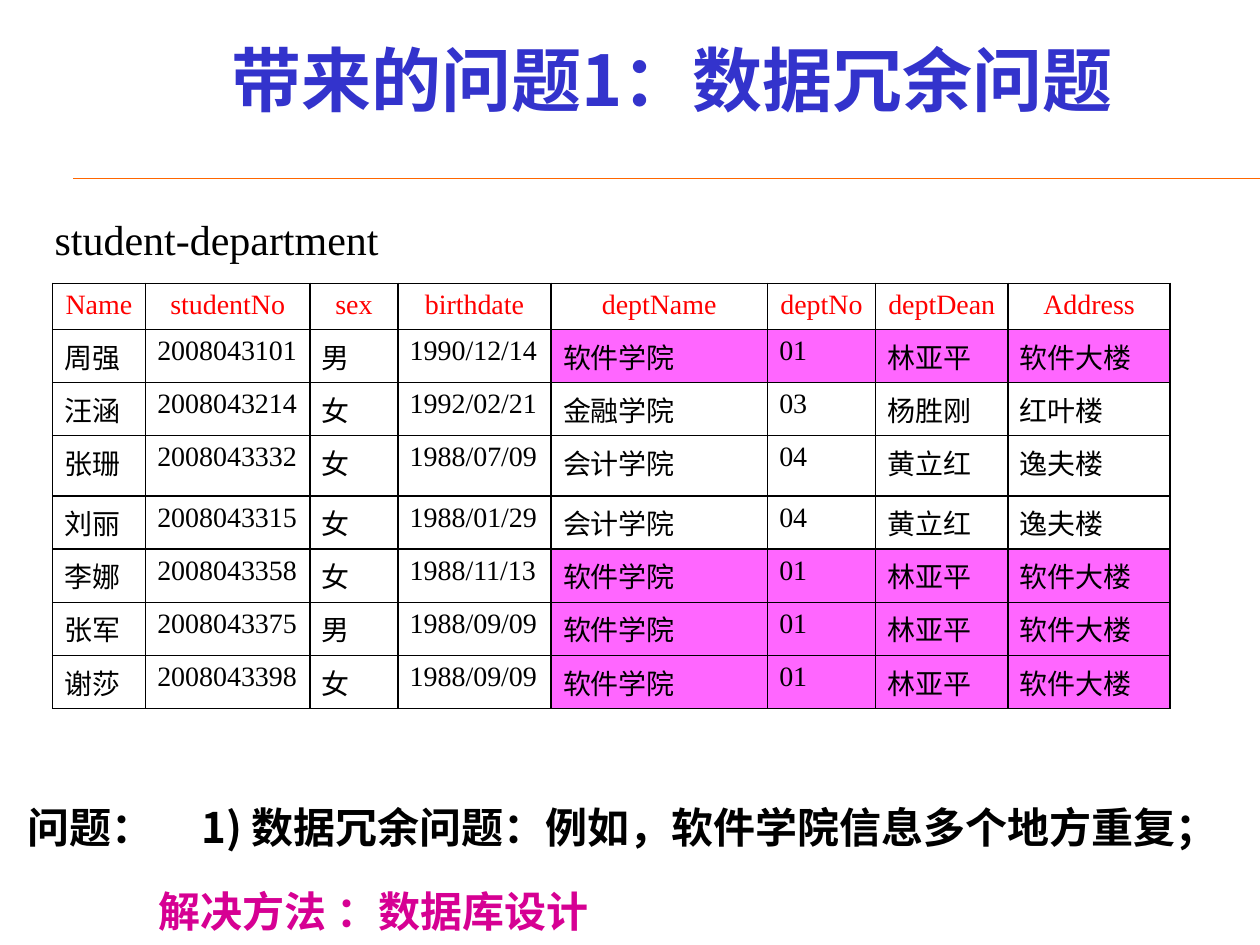
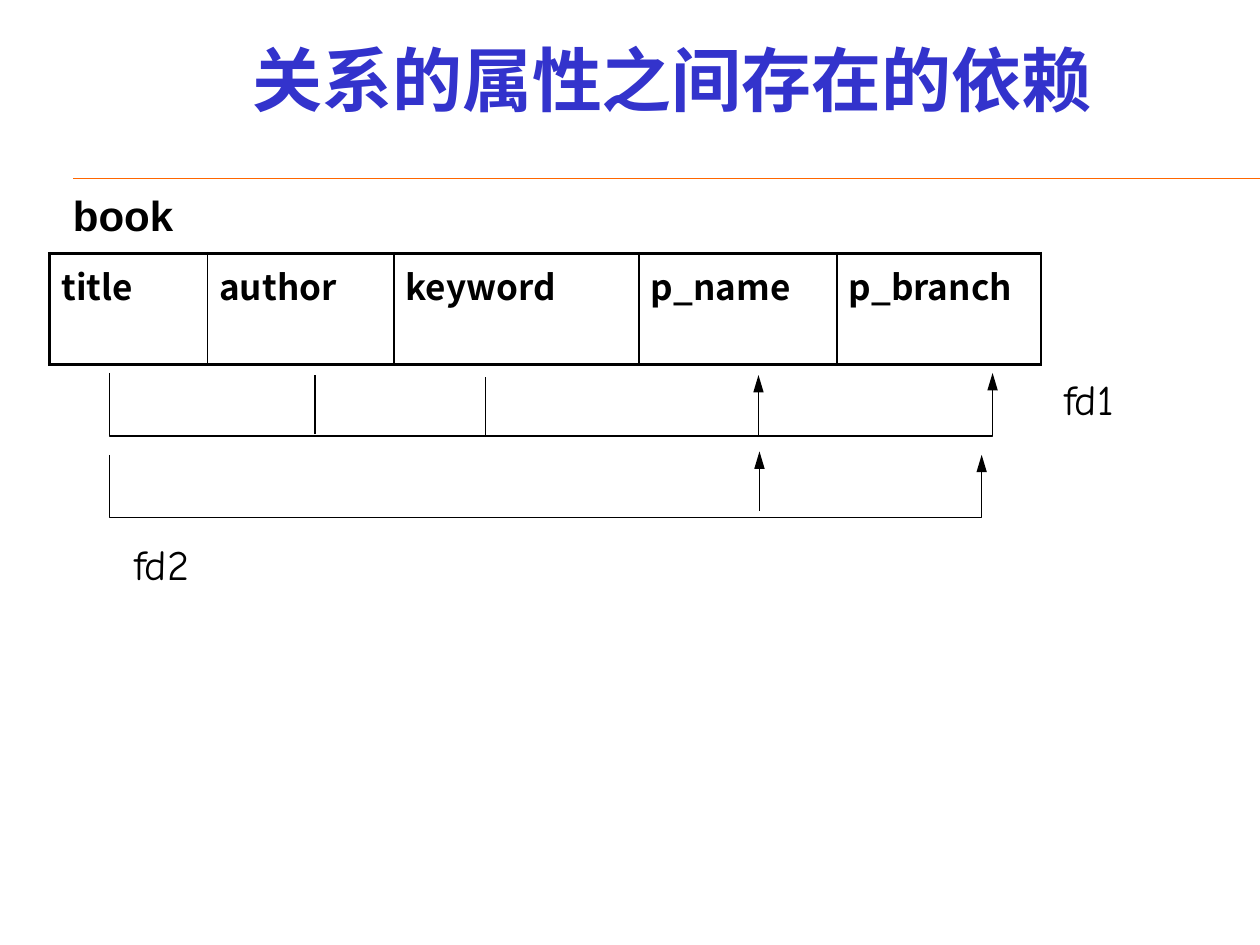
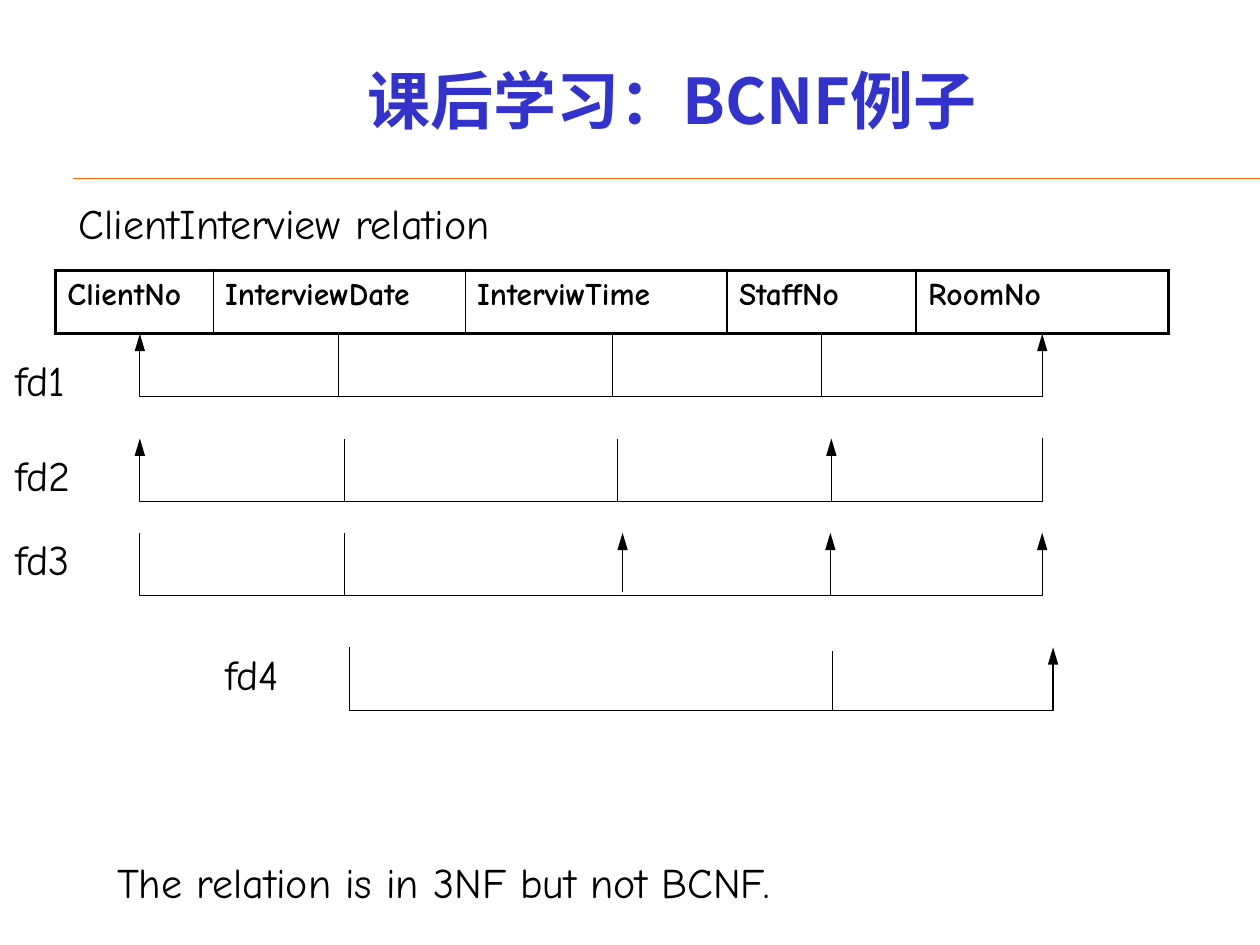
from dataclasses import dataclass

from lxml.etree import SubElement
from pptx import Presentation
from pptx.dml.color import RGBColor
from pptx.enum.shapes import MSO_CONNECTOR
from pptx.enum.text import MSO_ANCHOR, MSO_AUTO_SIZE, PP_ALIGN
from pptx.oxml.ns import qn
from pptx.util import Cm, Pt

STEM_H = 1.27
SHORT_STEM_H = 1.2


@dataclass(frozen=True)
class Theme:
    """Colours, fonts and type sizes shared by the slides."""
    title: str = "3333CC"
    rule: str = "FF6600"
    ink: str = "000000"
    header: str = "FF0000"
    repeated: str = "FF66FF"
    answer: str = "D60093"
    cjk: str = "Noto Sans CJK SC"
    serif: str = "Times New Roman"
    sans: str = "Arial"
    hand: str = "Comic Neue"
    title_size: float = 40
    small_title_size: float = 36
    body_size: float = 24
    key_size: float = 20
    small_key_size: float = 18
    cell_size: float = 16
    thin: float = 0.75
    grid: float = 1
    frame: float = 2.25


@dataclass(frozen=True)
class Stem:
    """An inner upright of a dependency bracket, in cm from its top left."""
    x: float
    arrow: bool = False
    drop: float = 0
    length: float = STEM_H


T = Theme()
DEPTS = {
    "软件": ("软件学院", "01", "林亚平", "软件大楼"),
    "金融": ("金融学院", "03", "杨胜刚", "红叶楼"),
    "会计": ("会计学院", "04", "黄立红", "逸夫楼"),
}
STUDENT_HEAD = ("Name", "studentNo", "sex", "birthdate",
                "deptName", "deptNo", "deptDean", "Address")
STUDENTS = [
    ("周强", "2008043101", "男", "1990/12/14", "软件"),
    ("汪涵", "2008043214", "女", "1992/02/21", "金融"),
    ("张珊", "2008043332", "女", "1988/07/09", "会计"),
    ("刘丽", "2008043315", "女", "1988/01/29", "会计"),
    ("李娜", "2008043358", "女", "1988/11/13", "软件"),
    ("张军", "2008043375", "男", "1988/09/09", "软件"),
    ("谢莎", "2008043398", "女", "1988/09/09", "软件"),
]


def rgb(value):
    """Turn a hex string into a colour."""
    return RGBColor.from_string(value)


def write(p, text, *, size=T.body_size, font=T.hand, color=T.ink, bold=False,
          align=PP_ALIGN.LEFT, spacing=None, before=0):
    """Write formatted text into a paragraph."""
    p.alignment = align
    p.space_before = Pt(before)
    if spacing:
        p.line_spacing = spacing
    r = p.add_run()
    r.text = text
    r.font.size = Pt(size)
    r.font.bold = bold
    r.font.color.rgb = rgb(color)
    r.font.name = font
    SubElement(r.font._element, qn("a:ea")).set("typeface", T.cjk)


def add_text(slide, box, text, anchor=MSO_ANCHOR.TOP, **fmt):
    """Add a wrapped text box and return its frame."""
    tf = slide.shapes.add_textbox(*map(Cm, box)).text_frame
    tf.word_wrap = True
    tf.vertical_anchor = anchor
    write(tf.paragraphs[0], text, **fmt)
    return tf


def style_line(sp, color=T.ink, arrow=False):
    """Give a line its colour and width, and a long arrowhead at its end."""
    sp.line.color.rgb = rgb(color)
    sp.line.width = Pt(T.thin)
    if arrow:
        tail = SubElement(sp.line._get_or_add_ln(), qn("a:tailEnd"))
        tail.set("type", "triangle")
        tail.set("len", "lg")


def add_line(slide, start, end, **fmt):
    """Add a straight line without a shadow."""
    sp = slide.shapes.add_connector(MSO_CONNECTOR.STRAIGHT,
                                    *map(Cm, (*start, *end)))
    style_line(sp, **fmt)
    SubElement(sp._element.spPr, qn("a:effectLst"))


def add_slide(prs, title, top=0, size=T.title_size):
    """Add a slide with its title and the rule below it."""
    slide = prs.slides.add_slide(prs.slide_layouts[5])
    sp = slide.shapes.title
    sp.left, sp.top, sp.width, sp.height = map(Cm, (2.75, top, 21.59, 3.18))
    tf = sp.text_frame
    tf.auto_size = MSO_AUTO_SIZE.NONE
    tf.vertical_anchor = MSO_ANCHOR.MIDDLE
    write(tf.paragraphs[0], title, size=size, font=T.cjk, color=T.title,
          bold=True, align=PP_ALIGN.CENTER)
    add_line(slide, (1.48, 3.6), (25.4, 3.6), color=T.rule)
    return slide


def format_cell(cell, text, borders, fill=None, **fmt):
    """Write a cell and set its left, right, top and bottom borders and fill."""
    write(cell.text_frame.paragraphs[0], text, **fmt)
    cell.margin_left = cell.margin_right = Cm(0.24)
    tcPr = cell._tc.get_or_add_tcPr()
    for side, width in zip("LRTB", borders):
        ln = SubElement(tcPr, qn(f"a:ln{side}"))
        ln.set("w", str(Pt(width)))
        SubElement(SubElement(ln, qn("a:solidFill")),
                   qn("a:srgbClr")).set("val", T.ink)
    if fill:
        cell.fill.solid()
        cell.fill.fore_color.rgb = rgb(fill)
    else:
        cell.fill.background()


def add_grid(slide, origin, widths, heights):
    """Add a plain table of the given column widths and row heights."""
    table = slide.shapes.add_table(
        len(heights), len(widths),
        *map(Cm, (*origin, sum(widths), sum(heights)))).table
    table.first_row = table.horz_banding = False
    for col, width in zip(table.columns, widths):
        col.width = Cm(width)
    for row, height in zip(table.rows, heights):
        row.height = Cm(height)
    return table


def add_students(slide, origin):
    """Add the student table, marking the repeated department."""
    widths = (1.87, 3.32, 1.77, 3.09, 4.36, 2.18, 2.67, 3.27)
    heights = (0.93, 1.07, 1.07, 1.22, 1.07, 1.07, 1.07, 1.07)
    table = add_grid(slide, origin, widths, heights)
    records = [STUDENT_HEAD] + [(*s[:4], *DEPTS[s[4]]) for s in STUDENTS]
    for i, record in enumerate(records):
        for j, text in enumerate(record):
            marked = j >= 4 and record[4:] == DEPTS["软件"]
            format_cell(table.cell(i, j), text, [T.grid] * 4,
                        fill=T.repeated if marked else None,
                        size=T.cell_size, font=T.serif,
                        color=T.ink if i else T.header,
                        align=PP_ALIGN.LEFT if i else PP_ALIGN.CENTER)


def add_schema(slide, origin, height, columns, right=T.grid, **fmt):
    """Add a one-row table that lists the attributes of a relation."""
    table = add_grid(slide, origin, list(columns.values()), [height])
    last = len(columns) - 1
    for j, name in enumerate(columns):
        borders = (T.grid if j else T.frame, right if j == last else T.grid,
                   T.frame, T.frame)
        format_cell(table.cell(0, j), name, borders, bold=True, **fmt)


def add_dependency(slide, box, label, label_at, stems, arrow_left=False):
    """Draw a bracket with an arrow at one end, its inner stems and its label."""
    left, top, width = box
    bottom = top + STEM_H
    start, end = left, left + width
    if arrow_left:
        start, end = end, start
    path = [(Cm(x), Cm(y)) for x, y in
            ((start, top), (start, bottom), (end, bottom), (end, top))]
    builder = slide.shapes.build_freeform(*path[0])
    builder.add_line_segments(path[1:], close=False)
    sp = builder.convert_to_shape()
    sp.shadow.inherit = False
    sp.fill.background()
    style_line(sp, arrow=True)
    for stem in stems:
        x, y = left + stem.x, top + stem.drop
        add_line(slide, (x, y + stem.length), (x, y), arrow=stem.arrow)
    dx, dy = label_at
    add_text(slide, (left + dx, top + dy, 1.96, 1.17), label, spacing=0.9)


def add_problem(slide, box):
    """Add the statement of the problem and its solution."""
    fmt = dict(font=T.cjk, bold=True, spacing=1.5)
    tf = add_text(slide, box, "问题：\t1) 数据冗余问题：例如，软件学院信息多个地方重复；", **fmt)
    tabs = SubElement(tf.paragraphs[0]._p.get_or_add_pPr(), qn("a:tabLst"))
    tab = SubElement(tabs, qn("a:tab"))
    tab.set("pos", str(Cm(3.51)))
    tab.set("algn", "l")
    p = tf.add_paragraph()
    write(p, "解决方法 ：数据库设计", color=T.answer, before=4.8, **fmt)
    p._p.get_or_add_pPr().set("marL", str(Cm(2.65)))


def redundancy_slide(prs):
    """Build the slide on redundant data."""
    slide = add_slide(prs, "带来的问题1：数据冗余问题")
    add_problem(slide, (0.3, 15.52, 24.71, 2.79))
    add_students(slide, (1.06, 5.71))
    add_text(slide, (0.85, 4.17, 8.26, 1.27), "student-department",
             anchor=MSO_ANCHOR.MIDDLE, font=T.serif)


def book_slide(prs):
    """Build the slide on dependencies between attributes."""
    slide = add_slide(prs, "关系的属性之间存在的依赖")
    columns = {"title": 3.18, "author": 3.76, "keyword": 4.94,
               "p_name": 3.99, "p_branch": 4.12}
    add_schema(slide, (1, 5.11), 2.24, columns, size=T.key_size, font=T.cjk)
    add_text(slide, (1.22, 3.81, 3, 1.17), "book", font=T.sans, bold=True,
             spacing=0.9)
    add_dependency(slide, (2.21, 7.52, 17.8), "fd1", (19, 0),
                   [Stem(4.14, False, 0.03, SHORT_STEM_H),
                    Stem(7.57, False, 0.07, SHORT_STEM_H),
                    Stem(13.08, True, 0.04, SHORT_STEM_H)])
    add_dependency(slide, (2.21, 9.17, 17.58), "fd2", (0.25, 1.67),
                   [Stem(13.1, True, -0.07, SHORT_STEM_H)])


def interview_slide(prs):
    """Build the slide with the normal form example."""
    slide = add_slide(prs, "课后学习：BCNF例子", 0.42, T.small_title_size)
    columns = {"ClientNo": 3.18, "InterviewDate": 5.08, "InterviwTime": 5.28,
               "StaffNo": 3.81, "RoomNo": 5.08}
    add_schema(slide, (1.12, 5.45), 1.27, columns, right=T.frame,
               size=T.small_key_size, font=T.hand)
    add_text(slide, (1.34, 3.97, 9.98, 1.17), "ClientInterview relation",
             spacing=0.9)
    left, width, top = 2.82, 18.19, 6.73
    staff, room, bottom = left + 13.74, left + width, top + STEM_H
    add_dependency(slide, (left, top, staff - left), "fd1", (-2.75, 0.41),
                   [Stem(4.01), Stem(9.53)], arrow_left=True)
    add_line(slide, (staff, bottom), (room, bottom))
    add_line(slide, (room, bottom), (room, top), arrow=True)
    add_dependency(slide, (left, 8.84, width), "fd2", (-2.75, 0.22),
                   [Stem(4.12), Stem(9.63), Stem(13.94, True)], arrow_left=True)
    add_dependency(slide, (left, 10.74, width), "fd3", (-2.75, 0),
                   [Stem(4.12), Stem(9.73, True, 0, SHORT_STEM_H),
                    Stem(13.92, True)])
    add_dependency(slide, (7.04, 13.05, 14.19), "fd4", (-2.74, 0.02),
                   [Stem(9.74, False, 0.08, SHORT_STEM_H)])
    add_text(slide, (2.11, 17.15, 17.15, 1.27),
             "The relation is in 3NF but not BCNF.")


def main():
    """Build and save the presentation."""
    prs = Presentation()
    prs.slide_width, prs.slide_height = Cm(25.4), Cm(19.05)
    redundancy_slide(prs)
    book_slide(prs)
    interview_slide(prs)
    prs.save("out.pptx")


if __name__ == "__main__":
    main()
